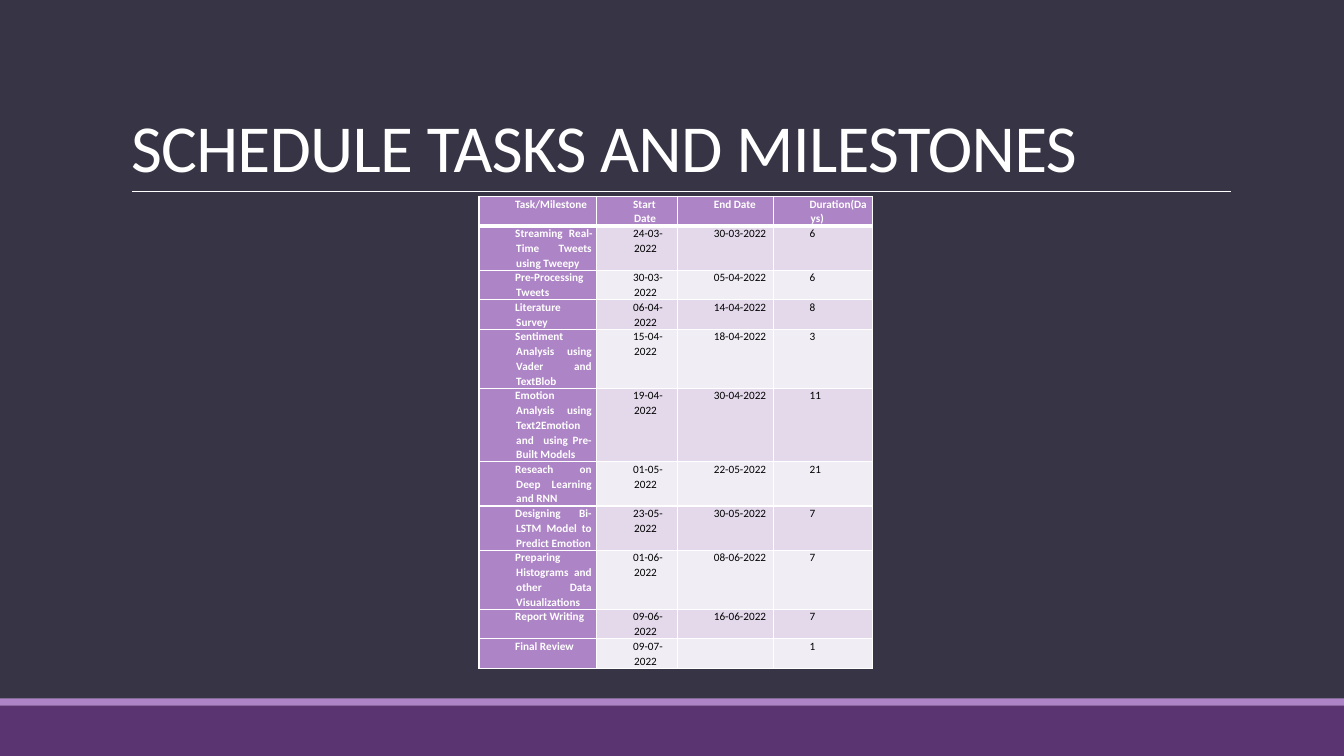
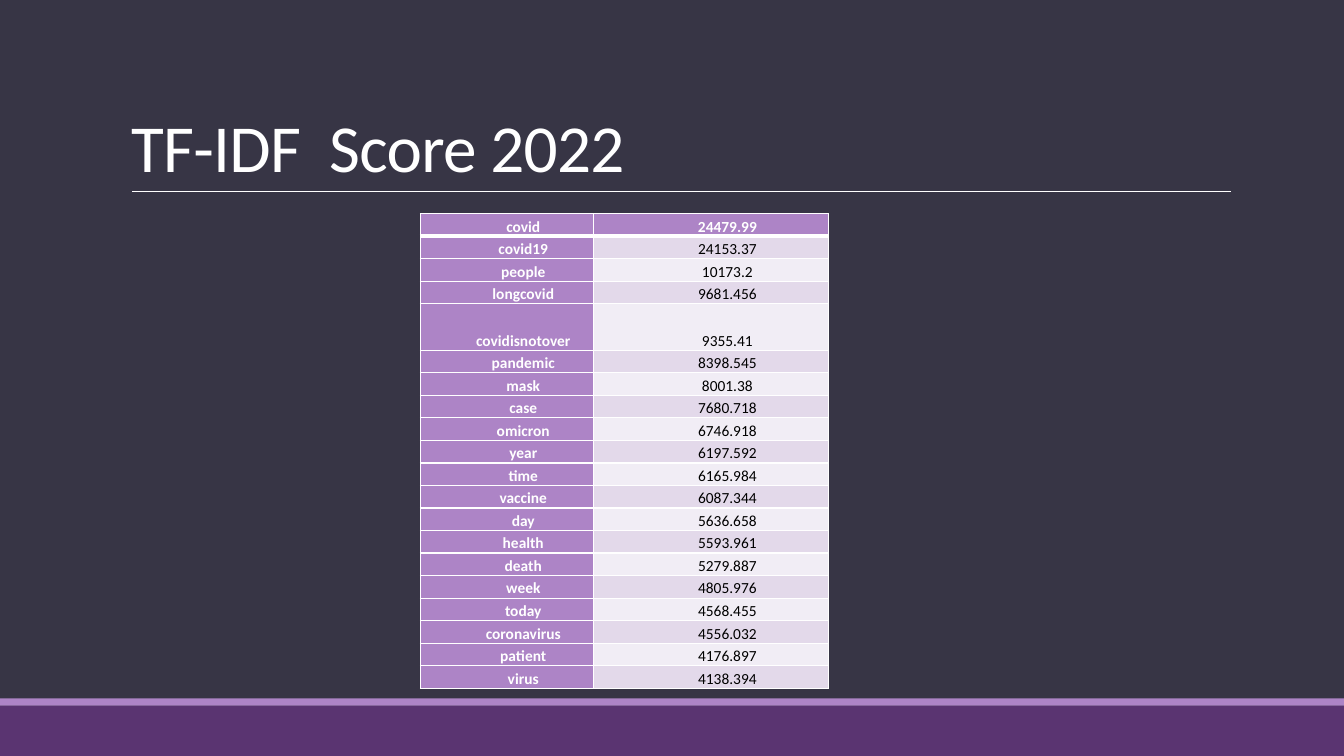
"""Build two dark slides with a task schedule and a term score table."""
from lxml import etree
from pptx import Presentation
from pptx.dml.color import RGBColor
from pptx.enum.shapes import MSO_CONNECTOR, MSO_SHAPE
from pptx.enum.text import MSO_ANCHOR, MSO_AUTO_SIZE, PP_ALIGN
from pptx.oxml.ns import qn
from pptx.util import Inches, Pt

STRAIGHT = MSO_CONNECTOR.STRAIGHT
RECTANGLE = MSO_SHAPE.RECTANGLE
TOP, BOTTOM = MSO_ANCHOR.TOP, MSO_ANCHOR.BOTTOM
NO_AUTOFIT = MSO_AUTO_SIZE.NONE
LEFT, CENTER, JUSTIFY = PP_ALIGN.LEFT, PP_ALIGN.CENTER, PP_ALIGN.JUSTIFY

FONT = "Calibri"
COLORS = {
    "background": "373545",
    "band": "5A3471",
    "accent": "AD84C6",
    "odd_row": "E3D9EA",
    "even_row": "F1EDF5",
    "light_text": "FFFFFF",
    "dark_text": "000000",
    "rule": "FFFFFF",
}
SLIDE_WIDTH, SLIDE_HEIGHT = 13.33, 7.5

SCHEDULE = [
    ("Task/Milestone", "Start Date", "End Date", "Duration(Days)"),
    ("Streaming Real-Time Tweets using Tweepy", "24-03-2022", "30-03-2022", "6"),
    ("Pre-Processing Tweets", "30-03-2022", "05-04-2022", "6"),
    ("Literature Survey", "06-04-2022", "14-04-2022", "8"),
    ("Sentiment Analysis using Vader and TextBlob", "15-04-2022", "18-04-2022", "3"),
    ("Emotion Analysis using Text2Emotion and  using Pre-Built Models",
     "19-04-2022", "30-04-2022", "11"),
    ("Reseach on Deep Learning and RNN", "01-05-2022", "22-05-2022", "21"),
    ("Designing Bi-LSTM Model to Predict Emotion", "23-05-2022", "30-05-2022", "7"),
    ("Preparing Histograms and other Data Visualizations",
     "01-06-2022", "08-06-2022", "7"),
    ("Report Writing", "09-06-2022", "16-06-2022", "7"),
    ("Final Review", "09-07-2022", "", "1"),
]
SCHEDULE_HEIGHTS = [0.28, 0.43, 0.28, 0.28, 0.57, 0.71, 0.28, 0.43, 0.57, 0.28, 0.28]

SCORES = [
    ("covid", "24479.99"),
    ("covid19", "24153.37"),
    ("people", "10173.2"),
    ("longcovid", "9681.456"),
    ("covidisnotover", "9355.41"),
    ("pandemic", "8398.545"),
    ("mask", "8001.38"),
    ("case", "7680.718"),
    ("omicron", "6746.918"),
    ("year", "6197.592"),
    ("time", "6165.984"),
    ("vaccine", "6087.344"),
    ("day", "5636.658"),
    ("health", "5593.961"),
    ("death", "5279.887"),
    ("week", "4805.976"),
    ("today", "4568.455"),
    ("coronavirus", "4556.032"),
    ("patient", "4176.897"),
    ("virus", "4138.394"),
]
SCORES_HEIGHT, TALL_ROW_HEIGHT = 4.71, 0.46
TALL_TERM = "covidisnotover"

SCHEDULE_STYLE = {"size": 8, "align": JUSTIFY, "anchor": TOP,
                  "margin": 0.05, "indent": 0.32, "space_after": 9.6}
SCORES_STYLE = {"size": 11, "align": CENTER, "anchor": BOTTOM,
                "margin": 0.07, "indent": 0.33, "space_after": 0.1}


def color(name):
    """Return the named colour."""
    return RGBColor.from_string(COLORS[name])


def add_band(slide, top, height, fill):
    """Add a full-width band and return it."""
    band = slide.shapes.add_shape(
        RECTANGLE, 0, Inches(top), Inches(SLIDE_WIDTH), Inches(height))
    band.shadow.inherit = False
    band.fill.solid()
    band.fill.fore_color.rgb = color(fill)
    band.line.fill.background()
    return band


def add_title_rule(slide):
    """Add the thin line under the title and return it."""
    rule = slide.shapes.add_connector(
        STRAIGHT, Inches(1.31), Inches(1.9), Inches(12.21), Inches(1.9))
    rule.line.color.rgb = color("rule")
    rule.line.width = Pt(0.5)
    etree.SubElement(rule.element.spPr, qn("a:effectLst"))
    return rule


def style_layout(layout, slide):
    """Give the layout its background, title box, bands and rule."""
    layout.background.fill.solid()
    layout.background.fill.fore_color.rgb = color("background")
    title = layout.placeholders[0]
    title.left, title.top = Inches(1.2), Inches(0.31)
    title.width, title.height = Inches(11), Inches(1.59)
    title.text_frame.vertical_anchor = BOTTOM
    title.text_frame.auto_size = NO_AUTOFIT
    for shape in (add_band(slide, 7, 0.5, "band"),
                  add_band(slide, 6.93, 0.07, "accent"),
                  add_title_rule(slide)):
        layout.shapes.element.append(shape.element)


def add_run(paragraph, text, size, text_color, bold=False):
    """Add a formatted run and return it."""
    run = paragraph.add_run()
    run.text = text
    run.font.name = FONT
    run.font.size = Pt(size)
    run.font.bold = bold
    run.font.color.rgb = color(text_color)
    return run


def set_title(slide, text):
    """Write the slide title."""
    paragraph = slide.shapes.title.text_frame.paragraphs[0]
    paragraph.alignment = LEFT
    paragraph.line_spacing = 0.85
    run = add_run(paragraph, text, 48, "light_text")
    run._r.get_or_add_rPr().set("spc", "-50")


def set_borders(cell, row_index):
    """Draw white cell borders, heavier under the header row."""
    properties = cell._tc.get_or_add_tcPr()
    widths = {"L": 1, "R": 1,
              "T": 3 if row_index == 1 else 1,
              "B": 3 if row_index == 0 else 1}
    for side, width in widths.items():
        line = etree.SubElement(properties, qn(f"a:ln{side}"), w=str(Pt(width)))
        fill = etree.SubElement(line, qn("a:solidFill"))
        etree.SubElement(fill, qn("a:srgbClr"), val=COLORS["rule"])


def fill_cell(cell, text, row_index, is_heading, style):
    """Format one table cell and write its text."""
    set_borders(cell, row_index)
    stripe = "odd_row" if row_index % 2 else "even_row"
    cell.fill.solid()
    cell.fill.fore_color.rgb = color("accent" if is_heading else stripe)
    cell.vertical_anchor = style["anchor"]
    cell.margin_left = cell.margin_right = Inches(style["margin"])
    cell.margin_top = cell.margin_bottom = 0
    paragraph = cell.text_frame.paragraphs[0]
    paragraph.alignment = style["align"]
    paragraph.line_spacing = 1.07
    paragraph.space_after = Pt(style["space_after"])
    properties = paragraph._p.get_or_add_pPr()
    properties.set("marL", str(Inches(style["indent"])))
    properties.set("indent", str(Inches(-0.01)))
    if text:
        text_color = "light_text" if is_heading else "dark_text"
        add_run(paragraph, text, style["size"], text_color, is_heading)
    else:
        etree.SubElement(paragraph._p, qn("a:endParaRPr"), sz=str(style["size"] * 100))


def add_data_table(slide, left, top, widths, heights, rows, style):
    """Add a table with a heading row, a heading column and striped cells."""
    table = slide.shapes.add_table(
        len(rows), len(widths), Inches(left), Inches(top),
        Inches(sum(widths)), Inches(sum(heights))).table
    table.first_col = True
    for column, width in zip(table.columns, widths):
        column.width = Inches(width)
    for row_index, (values, height) in enumerate(zip(rows, heights)):
        table.rows[row_index].height = Inches(height)
        for column_index, text in enumerate(values):
            is_heading = row_index == 0 or column_index == 0
            fill_cell(table.cell(row_index, column_index), text,
                      row_index, is_heading, style)


def main():
    """Build and save the presentation."""
    presentation = Presentation()
    presentation.slide_width = Inches(SLIDE_WIDTH)
    presentation.slide_height = Inches(SLIDE_HEIGHT)
    layout = presentation.slide_layouts.get_by_name("Title Only")

    schedule_slide = presentation.slides.add_slide(layout)
    style_layout(layout, schedule_slide)
    set_title(schedule_slide, "SCHEDULE TASKS AND MILESTONES")
    add_data_table(schedule_slide, 4.75, 1.95, [1.17, 0.8, 0.95, 0.98],
                   SCHEDULE_HEIGHTS, SCHEDULE, SCHEDULE_STYLE)

    scores_slide = presentation.slides.add_slide(layout)
    set_title(scores_slide, "TF-IDF  Score 2022")
    row_height = (SCORES_HEIGHT - TALL_ROW_HEIGHT) / (len(SCORES) - 1)
    score_heights = [TALL_ROW_HEIGHT if term == TALL_TERM else row_height
                     for term, score in SCORES]
    add_data_table(scores_slide, 4.17, 2.12, [1.72, 2.33],
                   score_heights, SCORES, SCORES_STYLE)

    presentation.save("out.pptx")


if __name__ == "__main__":
    main()
